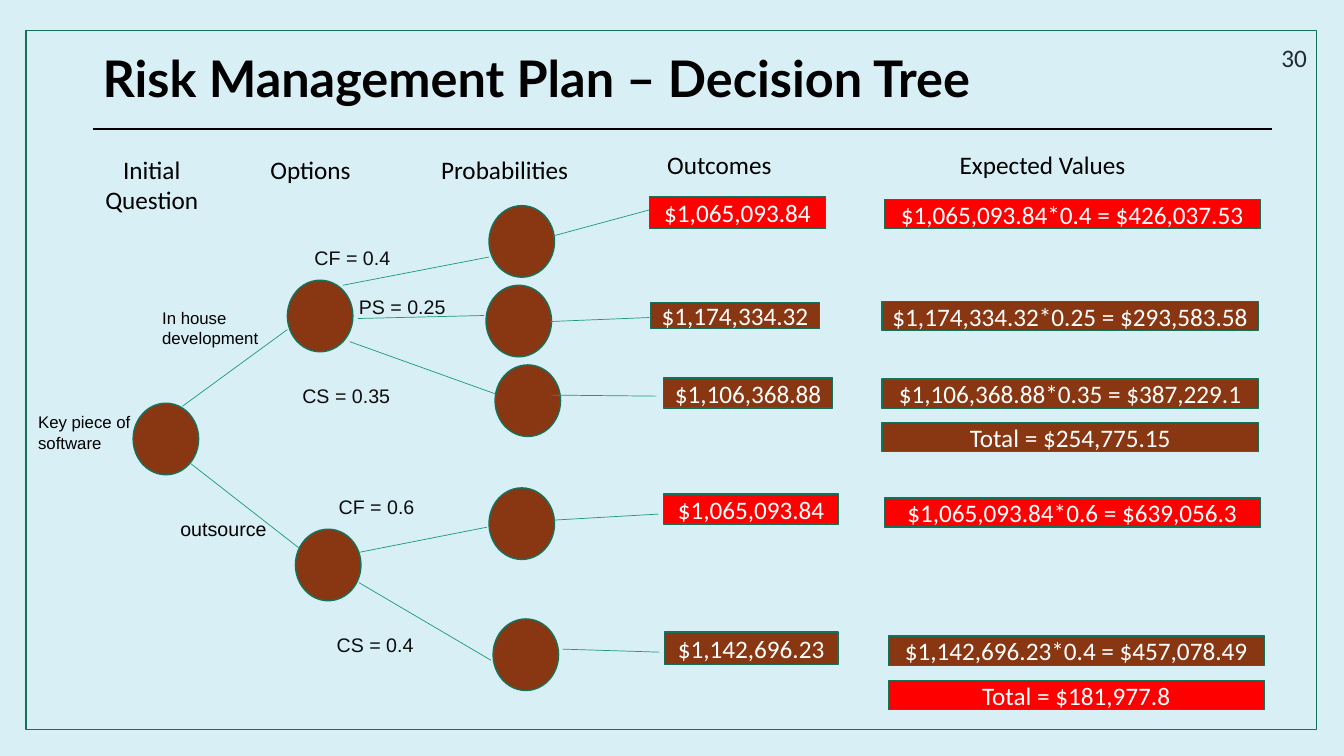
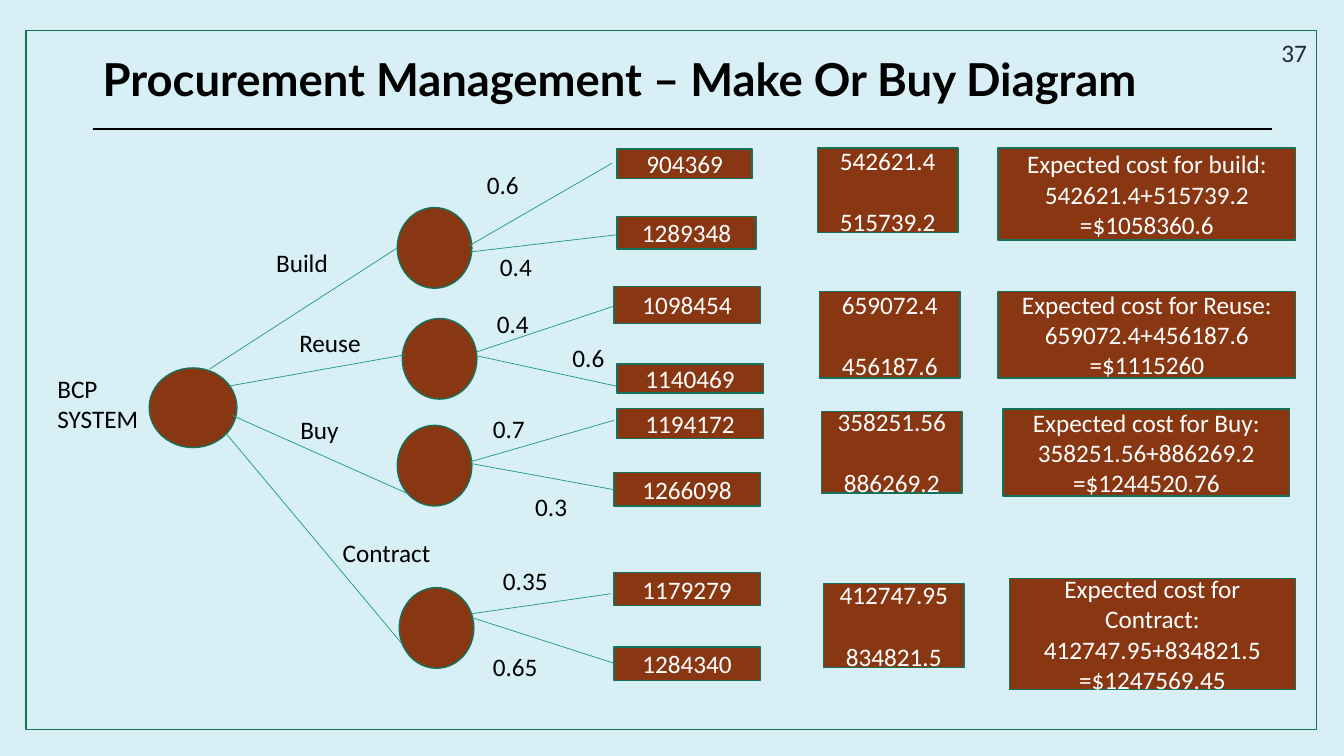
from collections import namedtuple

from lxml import etree
from pptx import Presentation
from pptx.dml.color import RGBColor
from pptx.enum import shapes, text
from pptx.oxml import ns
from pptx.util import Inches, Pt

SKY = RGBColor(0xD7, 0xEF, 0xF5)
BROWN = RGBColor(0x89, 0x37, 0x13)
RED = RGBColor(0xFF, 0x00, 0x00)
GREEN = RGBColor(0x15, 0x72, 0x59)
TEAL = RGBColor(0x1D, 0x9A, 0x78)
BLACK = RGBColor(0, 0, 0)
INK = RGBColor(0x0D, 0x0D, 0x0D)
SLATE = RGBColor(0x22, 0x2A, 0x35)
WHITE = RGBColor(0xFF, 0xFF, 0xFF)

SHAPE = shapes.MSO_SHAPE
ALIGN = text.PP_ALIGN
MIDDLE = text.MSO_ANCHOR.MIDDLE
BLANK_LAYOUT = 6
BLANK_LINE = Pt(22)

Box = namedtuple("Box", "left top width height")


def inside(box, left, top, width, height):
    """A box whose place is measured from the corner of another."""
    return Box(box.left + left, box.top + top, width, height)


# Basic parts

def write(frame, lines, size, color, font="Calibri", align=ALIGN.LEFT,
          bold=False, gap=Pt(0)):
    frame.word_wrap = True
    for index, line in enumerate(lines):
        para = frame.add_paragraph() if index else frame.paragraphs[0]
        para.text = line
        para.alignment = align
        if index:
            para.space_before = gap
        para.font.name, para.font.size = font, Pt(size)
        para.font.bold, para.font.color.rgb = bold, color


def add_label(page, box, words, size=18, color=BLACK, **style):
    label = page.shapes.add_textbox(*map(Inches, box))
    write(label.text_frame, [words], size, color, **style)
    return label.text_frame


def add_figure(page, kind, box, fill=None):
    figure = page.shapes.add_shape(kind, *map(Inches, box))
    figure.shadow.inherit = False
    if fill is None:
        figure.fill.background()
    else:
        figure.fill.solid()
        figure.fill.fore_color.rgb = fill
    figure.line.color.rgb, figure.line.width = GREEN, Pt(1)
    return figure


def add_value(page, box, lines, fill=BROWN, gap=Pt(0)):
    frame = add_figure(page, SHAPE.RECTANGLE, box, fill).text_frame
    frame.vertical_anchor = MIDDLE
    write(frame, lines, 18, WHITE, align=ALIGN.CENTER, gap=gap)


def add_line(page, box, ends, color=TEAL, width=0.5):
    x1, y1, x2, y2 = ends
    points = (box.left + x1, box.top + y1, box.left + x2, box.top + y2)
    line = page.shapes.add_connector(shapes.MSO_CONNECTOR.STRAIGHT,
                                     *map(Inches, points))
    line.line.color.rgb, line.line.width = color, Pt(width)
    etree.SubElement(line._element.spPr, ns.qn("a:effectLst"))


# Shared page design

def add_page(deck, title, title_size, number, number_top):
    page = deck.slides.add_slide(deck.slide_layouts[BLANK_LAYOUT])
    page.background.fill.solid()
    page.background.fill.fore_color.rgb = SKY
    frame = add_label(page, Box(0.92, 0.4, 11.5, 0.82), title, title_size,
                      font="Lato", bold=True)
    frame.vertical_anchor = MIDDLE
    frame.paragraphs[0].line_spacing = 0.9
    add_line(page, Box(0.92, 1.28, 11.7, 0), (0, 0, 11.7, 0), BLACK, 1.5)
    add_figure(page, SHAPE.RECTANGLE, Box(0.26, 0.3, 12.8, 6.94))
    add_label(page, Box(10.06, number_top, 3, 0.4), number, color=SLATE,
              align=ALIGN.RIGHT).vertical_anchor = MIDDLE
    return page


# Decision tree

HEADINGS = [
    (0, 0.05, 1.51, "Initial Question"),
    (1.7, 0.05, 1.26, "Options"),
    (3.5, 0.05, 1.51, "Probabilities"),
    (5.63, 0, 1.51, "Outcomes"),
    (8.1, 0, 2.98, "Expected Values"),
]
TREE_NODES = [
    (1.02, 2), (2.55, 0.78), (2.63, 3.25), (4.55, 0.04),
    (4.55, 2.84), (4.52, 0.83), (4.61, 1.62), (4.59, 4.14),
]
TREE_LINES = [
    (1.51, 2.03, 2.55, 1.27), (1.58, 2.59, 2.67, 3.44),
    (3.1, 0.83, 4.55, 0.55), (3.25, 1.16, 4.5, 1.13),
    (3.17, 1.39, 4.62, 1.91), (3.26, 3.48, 4.53, 3.23),
    (3.26, 3.78, 4.57, 4.55), (5.19, 0.34, 6.15, 0.08),
    (5.16, 1.19, 6.14, 1.15), (5.17, 1.92, 6.21, 1.93),
    (5.19, 3.16, 6.23, 3.1), (5.28, 4.44, 6.24, 4.47),
]
TREE_LABELS = [
    (-0.02, 2.04, "Key piece of software", 12, BLACK),
    (1.21, 1, "In house development", 12, BLACK),
    (1.39, 3.08, "outsource", 14, BLACK),
    (2.72, 0.39, "CF = 0.4", 14, INK),
    (3.16, 0.88, "PS = 0.25", 14, INK),
    (2.6, 1.76, "CS = 0.35", 14, INK),
    (2.96, 2.86, "CF = 0.6", 14, INK),
    (2.94, 4.23, "CS = 0.4", 14, INK),
]
OUTCOMES = [
    (0, 0, 1.75, 0.32, "$1,065,093.84", RED),
    (0.01, 1.05, 1.68, 0.26, "$1,174,334.32", BROWN),
    (0.14, 1.8, 1.68, 0.3, "$1,106,368.88", BROWN),
    (0.14, 2.95, 1.74, 0.3, "$1,065,093.84", RED),
    (0.15, 4.32, 1.72, 0.32, "$1,142,696.23", BROWN),
]
EXPECTED_VALUES = [
    (0.02, 0, "$1,065,093.84*0.4 = $426,037.53", RED),
    (0, 1.01, "$1,174,334.32*0.25 = $293,583.58", BROWN),
    (0, 1.78, "$1,106,368.88*0.35 = $387,229.1", BROWN),
    (0, 2.21, "Total = $254,775.15", BROWN),
    (0.02, 2.96, "$1,065,093.84*0.6 = $639,056.3", RED),
    (0.06, 4.33, "$1,142,696.23*0.4 = $457,078.49", BROWN),
    (0.06, 4.77, "Total = $181,977.8", RED),
]


def add_headings(page, box):
    for left, top, width, words in HEADINGS:
        add_label(page, inside(box, left, top, width, box.height), words,
                  align=ALIGN.CENTER)


def add_tree(page, box):
    for left, top in TREE_NODES:
        add_figure(page, SHAPE.FLOWCHART_CONNECTOR,
                   inside(box, left, top, 0.65, 0.71), BROWN)
    for ends in TREE_LINES:
        add_line(page, box, ends)
    for left, top, words, size, color in TREE_LABELS:
        width = 1.36 if left < 0 else 1.19
        add_label(page, inside(box, left, top, width, 0.34), words, size,
                  color, font="Arial")


def add_outcomes(page, box):
    for left, top, width, height, words, fill in OUTCOMES:
        add_value(page, inside(box, left, top, width, height), [words], fill)


def add_expected_values(page, box):
    for left, top, words, fill in EXPECTED_VALUES:
        add_value(page, inside(box, left, top, box.width, 0.29), [words], fill)


def decision_tree_page(deck):
    page = add_page(deck, "Risk Management Plan – Decision Tree", 36,
                    "30", 0.37)
    add_headings(page, Box(0.75, 1.43, 11.08, 0.4))
    add_tree(page, Box(0.3, 2, 6.24, 4.85))
    add_outcomes(page, Box(6.44, 1.95, 1.88, 4.64))
    add_expected_values(page, Box(8.75, 1.98, 3.73, 5.06))


# Make or buy diagram

TRUNK_LINES = [
    (1.68, 1.26, 3.54, 0.06), (1.87, 1.43, 3.62, 1.12),
    (1.9, 1.72, 3.65, 2.5), (1.85, 1.91, 3.59, 3.99),
]
OPTIONS = [(2.24, 0, "Build"), (2.47, 0.8, "Reuse"),
           (2.48, 1.66, "Buy"), (2.9, 2.88, "Contract")]

# Every place in a branch is measured from the corner of its row
Branch = namedtuple("Branch", "top node lines odds outcomes pair_box pair "
                    "cost_box cost")
BRANCHES = [
    Branch(1.4, (0.04, 0.66),
           [(0.75, 1.04, 2.17, 0.22), (0.76, 1.1, 2.21, 0.93)],
           [(0.83, 0.23, "0.6"), (0.96, 1.04, "0.4")],
           [(2.22, 0.08, 1.34, 0.29, "904369"),
            (2.22, 0.75, 1.38, 0.32, "1289348")],
           (4.21, 0.07, 1.39, 0.84), ["542621.4", "515739.2"],
           (6, 0.07, 2.95, 0.91),
           ["Expected cost for build:", "542621.4+515739.2", "=$1058360.6"]),
    Branch(2.8, (0.09, 0.36),
           [(0.83, 0.69, 2.18, 0.24), (0.83, 0.73, 2.21, 1.03)],
           [(0.93, 0.21, "0.4"), (1.68, 0.55, "0.6")],
           [(2.19, 0.04, 1.45, 0.37, "1098454"),
            (2.22, 0.81, 1.45, 0.29, "1140469")],
           (4.23, 0.09, 1.39, 0.86), ["659072.4", "456187.6"],
           (6, 0.09, 2.95, 0.86),
           ["Expected cost for Reuse:", "659072.4+456187.6", "=$1115260"]),
    Branch(4, (0.04, 0.22),
           [(0.77, 0.58, 2.19, 0.17), (0.78, 0.6, 2.2, 0.86)],
           [(0.89, 0.05, "0.7"), (1.31, 0.83, "0.3")],
           [(2.22, 0.05, 1.45, 0.3, "1194172"),
            (2.19, 0.69, 1.45, 0.33, "1266098")],
           (4.25, 0.08, 1.39, 0.81), ["358251.56", "886269.2"],
           (6.05, 0.06, 2.84, 0.86),
           ["Expected cost for Buy:", "358251.56+886269.2", "=$1244520.76"]),
    Branch(5.6, (0.06, 0.23),
           [(0.77, 0.49, 2.16, 0.29), (0.79, 0.53, 2.19, 0.98)],
           [(0.99, -0.04, "0.35"), (0.89, 0.81, "0.65")],
           [(2.19, 0.08, 1.45, 0.33, "1179279"),
            (2.19, 0.82, 1.45, 0.33, "1284340")],
           (4.27, 0.19, 1.39, 0.83), ["412747.95", "834821.5"],
           (6.11, 0.14, 2.84, 1.1),
           ["Expected cost for Contract: 412747.95+834821.5",
            "=$1247569.45"]),
]


def add_trunk(page, box):
    add_figure(page, SHAPE.OVAL, inside(box, 1.08, 1.25, 0.87, 0.79), BROWN)
    add_label(page, inside(box, 0.07, 1.25, 1.18, 0.71), "BCP SYSTEM")
    for ends in TRUNK_LINES:
        add_line(page, box, ends)
    for left, top, words in OPTIONS:
        add_label(page, inside(box, left, top, 1.14, 0.4), words)


def add_branch(page, box, branch):
    add_figure(page, SHAPE.OVAL, inside(box, *branch.node, 0.74, 0.8), BROWN)
    for ends in branch.lines:
        add_line(page, box, ends)
    for left, top, words in branch.odds:
        add_label(page, inside(box, left, top, 0.8, 0.4), words)
    for *place, words in branch.outcomes:
        add_value(page, inside(box, *place), [words])
    add_value(page, inside(box, *branch.pair_box), branch.pair,
              gap=BLANK_LINE)
    add_value(page, inside(box, *branch.cost_box), branch.cost)


def make_or_buy_page(deck):
    page = add_page(deck, "Procurement Management – Make Or Buy Diagram",
                    32.4, "37", 0.32)
    for branch in BRANCHES:
        add_branch(page, Box(3.9, branch.top, 8.95, 1.2), branch)
    add_trunk(page, Box(0.4, 2.4, 4.04, 4))


def main():
    deck = Presentation()
    deck.slide_width, deck.slide_height = Inches(13.33), Inches(7.5)
    decision_tree_page(deck)
    make_or_buy_page(deck)
    deck.save("out.pptx")


if __name__ == "__main__":
    main()
